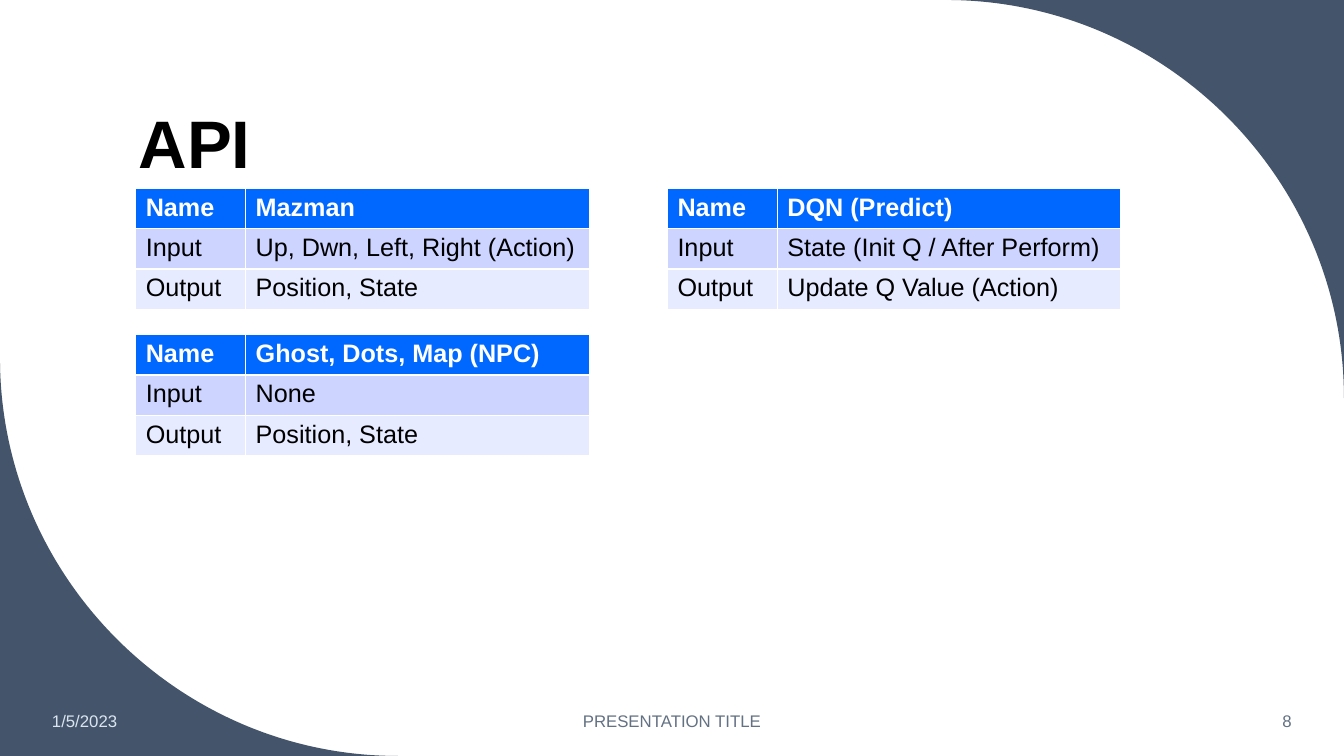
from lxml import etree
from pptx import Presentation
from pptx.dml.color import RGBColor
from pptx.enum.text import MSO_ANCHOR, PP_ALIGN
from pptx.oxml.ns import qn
from pptx.util import Cm, Pt

LEFT, CENTER, RIGHT = PP_ALIGN.LEFT, PP_ALIGN.CENTER, PP_ALIGN.RIGHT
MIDDLE, BOTTOM = MSO_ANCHOR.MIDDLE, MSO_ANCHOR.BOTTOM
WIDTH, HEIGHT = 33.87, 19.05
SLATE, BLACK, WHITE = "44546A", "000000", "FFFFFF"
ROW_FILLS = ["0068FF", "CCD4FF", "E7EBFF"]
ARC = 0.55  # control point distance for a quarter circle


def rgb(value):
    return RGBColor.from_string(value)


def write(tf, text, size=18, color=BLACK, bold=False, align=LEFT, anchor=None, spacing=None):
    tf.word_wrap = True
    if anchor is not None:
        tf.vertical_anchor = anchor
    p = tf.paragraphs[0]
    p.alignment = align
    p.line_spacing = spacing
    r = p.add_run()
    r.text = text
    r.font.name = "Arial"
    r.font.size = Pt(size)
    r.font.bold = bold
    r.font.color.rgb = rgb(color)


def bend_long_side(sp):
    """Turn the second segment of a corner triangle into a quarter circle."""
    corner, start, end = [(int(pt.get("x")), int(pt.get("y")))
                          for pt in sp._element.iter(qn("a:pt"))]
    controls = [tuple(round(a + ARC * (c - a)) for a, c in zip(point, corner))
                for point in (start, end)]
    side = list(sp._element.iter(qn("a:lnTo")))[1]
    curve = etree.Element(qn("a:cubicBezTo"))
    for px, py in controls + [end]:
        etree.SubElement(curve, qn("a:pt"), x=str(px), y=str(py))
    side.getparent().replace(side, curve)


def add_corner(slide, x, y, radius, dx, dy):
    """Fill the area between the slide corner (x, y) and an arc; dx, dy point inward."""
    builder = slide.shapes.build_freeform(Cm(x), Cm(y), scale=1.0)
    builder.add_line_segments([(Cm(x + dx * radius), Cm(y)), (Cm(x), Cm(y + dy * radius))])
    sp = builder.convert_to_shape()
    bend_long_side(sp)
    sp.shadow.inherit = False
    sp.fill.solid()
    sp.fill.fore_color.rgb = rgb(SLATE)
    sp.line.fill.background()


def add_title(slide, text, x, y, w, h):
    title = slide.shapes.title
    title.left, title.top, title.width, title.height = Cm(x), Cm(y), Cm(w), Cm(h)
    write(title.text_frame, text, size=48, bold=True, anchor=BOTTOM, spacing=0.9)


def add_api_table(slide, name, inputs, outputs, x, y, w, row_h=1.02, label_w=2.77):
    rows = [("Name", name), ("Input", inputs), ("Output", outputs)]
    frame = slide.shapes.add_table(len(rows), 2, Cm(x), Cm(y), Cm(w), Cm(row_h * len(rows)))
    table = frame.table
    table.columns[0].width = Cm(label_w)
    table.columns[1].width = Cm(w - label_w)
    for i, (texts, fill) in enumerate(zip(rows, ROW_FILLS)):
        table.rows[i].height = Cm(row_h)
        for cell, text in zip(table.rows[i].cells, texts):
            cell.fill.solid()
            cell.fill.fore_color.rgb = rgb(fill)
            write(cell.text_frame, text, color=BLACK if i else WHITE, bold=i == 0)


def add_footer(slide, y, h):
    parts = [("1/5/2023", 1.06, 4.72, "DAE5EF", LEFT),
             ("PRESENTATION TITLE", 11.22, 11.43, "637183", CENTER),
             ("8", 28.2, 4.6, "637183", RIGHT)]
    for text, x, w, color, align in parts:
        box = slide.shapes.add_textbox(Cm(x), Cm(y), Cm(w), Cm(h))
        write(box.text_frame, text, size=12, color=color, align=align, anchor=MIDDLE)


def build_api_slide(prs):
    slide = prs.slides.add_slide(prs.slide_layouts[5])

    # Curved corners
    add_corner(slide, WIDTH, 0, 10.03, -1, 1)
    add_corner(slide, 0, HEIGHT, 10.03, 1, -1)

    add_title(slide, "API", 3.24, 1.07, 27.15, 3.68)

    # API tables on a two-column grid
    left, top, col_step, row_step = 3.42, 4.74, 13.4, 3.69
    apis = [(0, 0, "Mazman", "Up, Dwn, Left, Right (Action)", "Position, State"),
            (0, 1, "Ghost, Dots, Map (NPC)", "None", "Position, State"),
            (1, 0, "DQN (Predict)", "State (Init Q / After Perform)", "Update Q Value (Action)")]
    for col, row, name, inputs, outputs in apis:
        add_api_table(slide, name, inputs, outputs,
                      left + col * col_step, top + row * row_step, 11.43)

    add_footer(slide, 17.65, 1.02)


prs = Presentation()
prs.slide_width, prs.slide_height = Cm(WIDTH), Cm(HEIGHT)
build_api_slide(prs)
prs.save("out.pptx")
